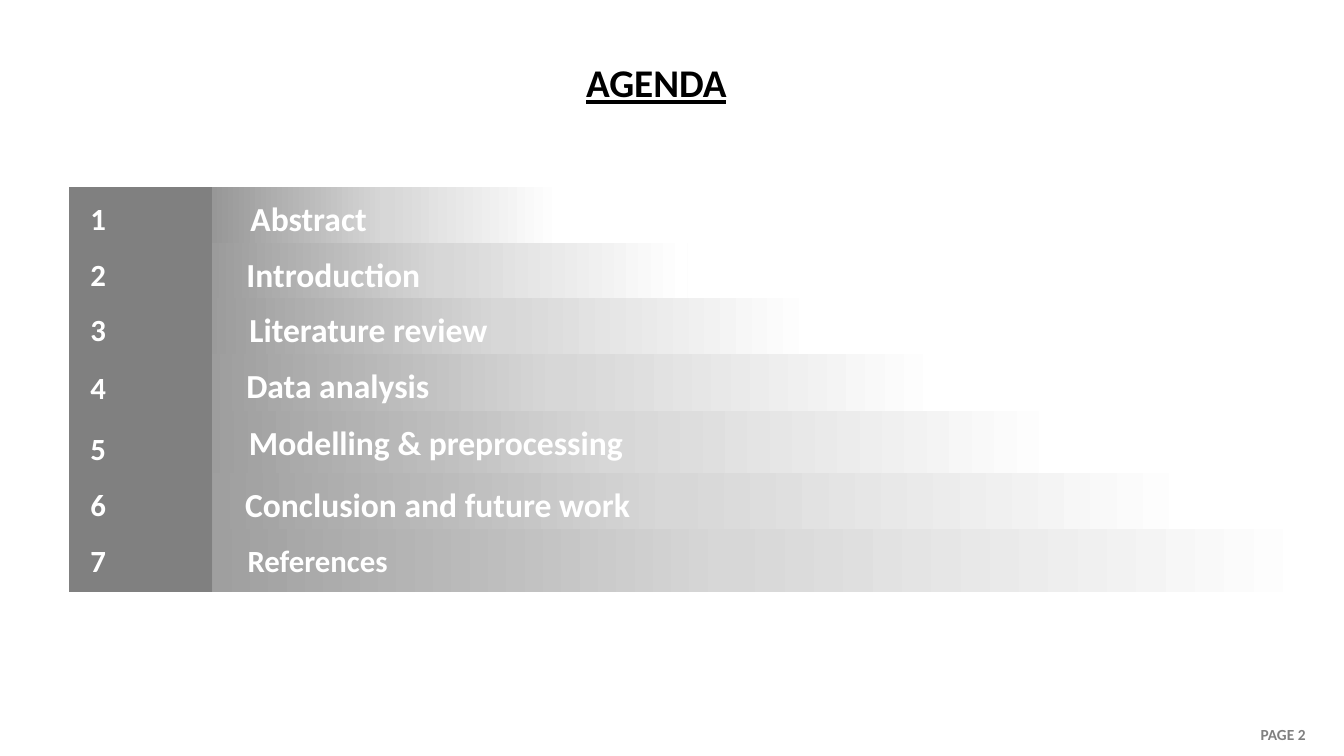
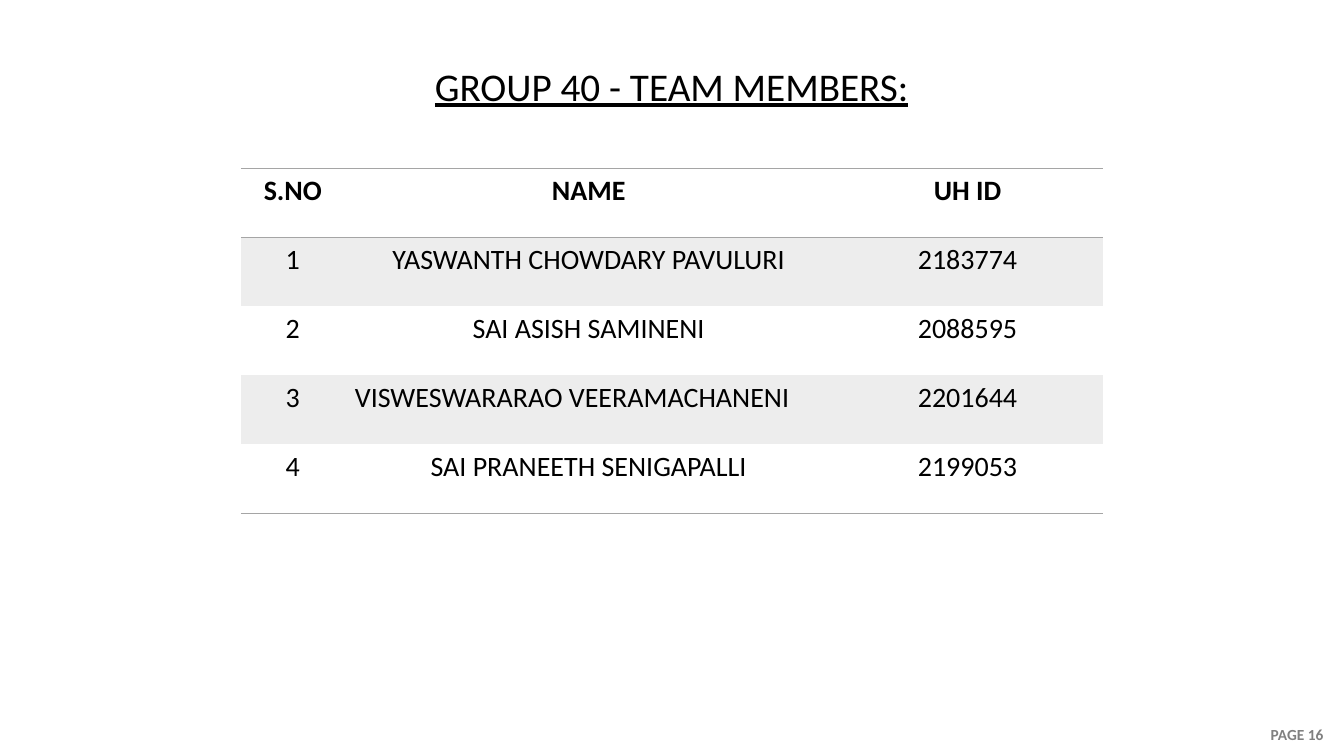
from copy import deepcopy

from pptx import Presentation
from pptx import util as u
from pptx.dml.color import RGBColor
from pptx.enum import shapes, text
from pptx.oxml import parse_xml
from pptx.oxml.ns import nsdecls, qn

COLORS = {
    "ink": "000000",
    "paper": "FFFFFF",
    "grey": "808080",
    "rule": "A5A5A5",
    "stripe": "EDEDED",
}
FADE = [(0, "979797"), (0.5, "D7D7D7"), (1, "FFFFFF")]
NO_STYLE = "{2D5ABB26-0587-4C30-8999-92F81FD0307C}"
CENTER, LEFT = text.PP_ALIGN.CENTER, text.PP_ALIGN.LEFT


def write(frame, words, size, color, bold=True, align=LEFT):
    frame.text = words
    paragraph = frame.paragraphs[0]
    paragraph.alignment = align
    font = paragraph.font
    font.name = "Calibri"
    font.size = u.Pt(size)
    font.bold = bold
    font.color.rgb = RGBColor.from_string(COLORS[color])
    return paragraph


def add_block(slide, left, top, width, words, size):
    block = slide.shapes.add_shape(
        shapes.MSO_SHAPE.PARALLELOGRAM,
        u.Cm(left), u.Cm(top), u.Cm(width), u.Cm(1.57),
    )
    block.adjustments[0] = 0
    block.shadow.inherit = False
    block.line.fill.background()
    block.text_frame.vertical_anchor = text.MSO_ANCHOR.MIDDLE
    write(block.text_frame, words, size, "paper")
    return block


deck = Presentation()
deck.slide_width = u.Cm(33.87)
deck.slide_height = u.Cm(19.05)

pages = [
    ("AGENDA", True, (0.74, 1.27, 31.6, 1.47), "PAGE 2", LEFT),
    ("GROUP 40 - TEAM MEMBERS:", False, (1.52, 1.35, 30.81, 2.95), "PAGE 16", CENTER),
]
for heading, bold, box, page, page_align in pages:
    slide = deck.slides.add_slide(deck.slide_layouts[5])
    title = slide.shapes.title
    title.left, title.top, title.width, title.height = map(u.Cm, box)
    title.text_frame.auto_size = text.MSO_AUTO_SIZE.NONE
    title.text_frame.vertical_anchor = text.MSO_ANCHOR.TOP
    line = write(title.text_frame, heading, 28, "ink", bold, CENTER)
    line.line_spacing = 1.07
    line.font.underline = True

    footer = slide.shapes.add_textbox(u.Cm(31.52), u.Cm(18.16), u.Cm(2.34), u.Cm(0.74))
    footer.text_frame.word_wrap = True
    write(footer.text_frame, page, 11, "grey", align=page_align)

agenda, team = deck.slides

topics = [
    ("Abstract", 24, 5.33, 4.72, 8.79, 4.72),
    ("Introduction", 24, 4.93, 6.12, 12.4, 6.12),
    ("Literature review", 24, 4.72, 7.52, 15.8, 7.52),
    ("Data analysis", 24, 4.34, 8.92, 19.41, 8.97),
    ("Modelling & preprocessing", 24, 4.14, 10.36, 22.61, 10.52),
    ("Conclusion and future work", 24, 3.73, 11.91, 26.39, 11.91),
    ("References", 22, 3.53, 13.34, 29.54, 13.34),
]
for topic, size, left, top, width, number_top in topics:
    bar = add_block(agenda, left, top, width, topic, size)
    bar.fill.gradient()
    bar.fill.gradient_angle = 0
    stops = bar._element.spPr.find(".//" + qn("a:gsLst"))
    stops.insert(1, deepcopy(stops[0]))
    for stop, (position, color) in zip(bar.fill.gradient_stops, FADE):
        stop.position = position
        stop.color.rgb = RGBColor.from_string(color)

for number, topic in enumerate(topics, 1):
    tab = add_block(agenda, 1.73, topic[-1], 3.61, str(number), 22)
    tab.fill.solid()
    tab.fill.fore_color.rgb = RGBColor.from_string(COLORS["grey"])

members = [
    ("S.NO", "NAME", "UH ID"),
    ("1", "YASWANTH CHOWDARY PAVULURI", "2183774"),
    ("2", "SAI ASISH SAMINENI", "2088595"),
    ("3", "VISWESWARARAO VEERAMACHANENI", "2201644"),
    ("4", "SAI PRANEETH SENIGAPALLI", "2199053"),
]
roster = team.shapes.add_table(
    len(members), 3, u.Cm(6.07), u.Cm(4.24), u.Cm(21.72), u.Cm(8.7)
).table
roster.first_row = roster.horz_banding = False
roster._tbl.tblPr.find(qn("a:tableStyleId")).text = NO_STYLE
for column, width in zip(roster.columns, (2.62, 12.29, 6.81)):
    column.width = u.Cm(width)

ruled_edges = {0: ("lnT", "lnB"), len(members) - 1: ("lnB",)}
for r, member in enumerate(members):
    for c, entry in enumerate(member):
        cell = roster.cell(r, c)
        align = LEFT if (r, c) == (3, 1) else CENTER
        write(cell.text_frame, entry, 20, "ink", r == 0, align)
        for edge in ruled_edges.get(r, ()):
            cell._tc.get_or_add_tcPr().append(parse_xml(
                f'<a:{edge} {nsdecls("a")} w="12700"><a:solidFill>'
                f'<a:srgbClr val="{COLORS["rule"]}"/></a:solidFill></a:{edge}>'
            ))
        if r % 2:
            cell.fill.solid()
            cell.fill.fore_color.rgb = RGBColor.from_string(COLORS["stripe"])
        else:
            cell.fill.background()

deck.save("out.pptx")
